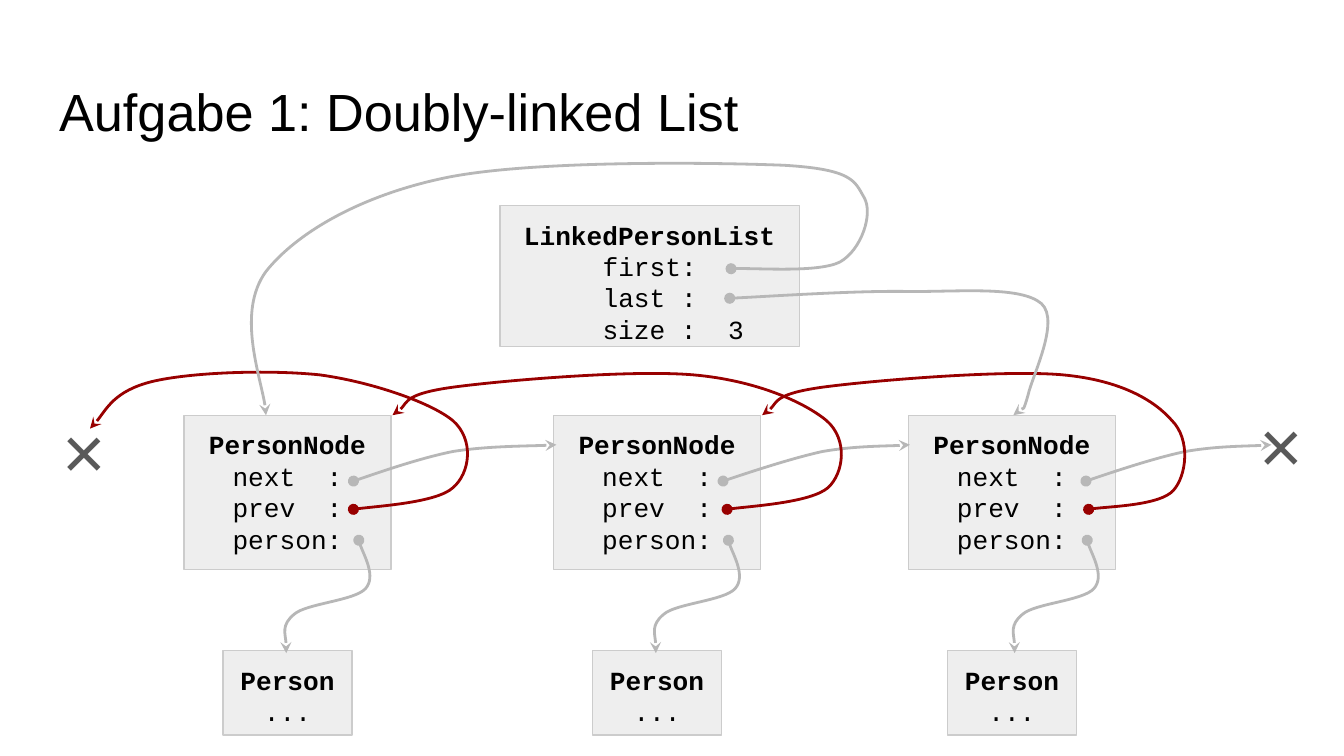
from lxml import etree
from pptx import Presentation, util as u
from pptx.dml.color import RGBColor
from pptx.enum import shapes, text
from pptx.oxml.ns import qn

PX = u.Inches(1) // 100
COLORS = {"fill": "EEEEEE", "border": "CCCCCC", "text": "000000",
          "cross": "595959", "link": "B7B7B7", "prev": "980000"}


def write(box, lines, size, font, color, align):
    frame = box.text_frame
    frame.text = "\n".join(lines)
    frame.word_wrap = True
    frame.auto_size = text.MSO_AUTO_SIZE.NONE
    frame.vertical_anchor = text.MSO_ANCHOR.TOP
    frame.margin_left = frame.margin_right = 10 * PX
    frame.margin_top = frame.margin_bottom = 10 * PX
    for para in frame.paragraphs:
        para.alignment = align
        for span in para.runs:
            span.font.size = u.Pt(size)
            span.font.name = font
            span.font.color.rgb = RGBColor.from_string(COLORS[color])


def add_curved_arrow(page, points, color):
    """Draw cubic curves: a start point, then two controls and an end per curve."""
    builder = page.shapes.build_freeform(*points[0], scale=PX)
    builder.add_line_segments(points[1:], close=False)
    arrow = builder.convert_to_shape()
    arrow.shadow.inherit = False
    arrow.fill.background()
    arrow.line.color.rgb = RGBColor.from_string(COLORS[color])
    arrow.line.width = u.Pt(1.5)

    path = arrow.element.find(".//" + qn("a:path"))
    segments = path.findall(qn("a:lnTo"))
    for first in range(0, len(segments), 3):
        curve = etree.SubElement(path, qn("a:cubicBezTo"))
        for segment in segments[first:first + 3]:
            curve.append(segment[0])
            path.remove(segment)
    outline = arrow.element.spPr.find(qn("a:ln"))
    etree.SubElement(outline, qn("a:headEnd"), type="oval")
    etree.SubElement(outline, qn("a:tailEnd"), type="stealth")


deck = Presentation()
deck.slide_width = u.Inches(10)
deck.slide_height = deck.slide_width * 9 // 16
page = deck.slides.add_slide(deck.slide_layouts[5])

title = page.shapes.title
title.left, title.top, title.width, title.height = 34 * PX, 49 * PX, 932 * PX, 63 * PX
write(title, ["Aufgabe 1: Doubly-linked List"], 28, "Arial", "text", text.PP_ALIGN.LEFT)

# List, nodes and persons
node_lefts = [137, 412, 676]
records = [(372, 153, 223, 105, ["LinkedPersonList", "first:", "last :", "size :  3"])]
for left in node_lefts:
    records.append((left, 309, 154, 115, ["PersonNode", "next  :", "prev  :", "person:"]))
    records.append((left + 29, 484, 96, 63, ["Person", "..."]))

for left, top, width, height, lines in records:
    box = page.shapes.add_shape(shapes.MSO_SHAPE.RECTANGLE,
                                left * PX, top * PX, width * PX, height * PX)
    box.shadow.inherit = False
    box.fill.solid()
    box.fill.fore_color.rgb = RGBColor.from_string(COLORS["fill"])
    box.line.color.rgb = RGBColor.from_string(COLORS["border"])
    box.line.width = u.Pt(0.75)
    write(box, lines, 14, "Courier New", "text", text.PP_ALIGN.CENTER)
    box.text_frame.paragraphs[0].runs[0].font.bold = True
    for para in box.text_frame.paragraphs:
        if para.text.startswith("size"):
            # Three characters of indent line this field up with the others
            para._p.get_or_add_pPr().set("marL", str(35 * PX))

# Null references at both ends
for left, top in [(37, 291), (927, 287)]:
    cross = page.shapes.add_textbox(left * PX, top * PX, 47 * PX, 53 * PX)
    write(cross, ["×"], 40, "Arial", "cross", text.PP_ALIGN.LEFT)

# Each node's person
person_curve = [(0, 402), (1, 408), (13, 429), (5, 438), (-3, 447), (-39, 449),
                (-48, 457), (-58, 465), (-53, 481), (-54, 486)]
for start in [267, 542, 809]:
    add_curved_arrow(page, [(start + x, y) for x, y in person_curve], "link")

# Each node's next
next_heights = [358, 354, 341, 336, 332, 332, 331]
for xs in [(263, 275, 312, 337, 362, 401, 414),
           (538, 550, 589, 612, 635, 666, 677),
           (808, 820, 858, 882, 905, 936, 946)]:
    add_curved_arrow(page, list(zip(xs, next_heights)), "link")

# Each node's prev
prev_curves = [
    [(541, 379), (553, 377), (603, 374), (616, 363), (628, 352), (631, 327), (615, 313),
     (598, 299), (562, 283), (516, 279), (470, 275), (376, 283), (338, 288),
     (301, 293), (300, 306), (292, 309)],
    [(810, 379), (820, 377), (863, 376), (873, 365), (883, 354), (886, 327), (872, 313),
     (859, 298), (834, 283), (791, 279), (748, 275), (651, 283), (613, 288),
     (576, 293), (575, 306), (567, 309)],
    [(263, 379), (275, 377), (325, 374), (337, 363), (350, 352), (353, 327), (337, 313),
     (320, 299), (275, 284), (238, 279), (200, 275), (142, 277), (113, 284),
     (85, 291), (74, 313), (67, 319)],
]
for points in prev_curves:
    add_curved_arrow(page, points, "prev")

# The list's first and last
first_curve = [(544, 200), (558, 199), (609, 203), (625, 195), (641, 186), (650, 159),
               (643, 147), (636, 135), (635, 126), (583, 123), (532, 121), (398, 119),
               (333, 132), (269, 145), (221, 173), (198, 202), (176, 232), (198, 292),
               (198, 309)]
last_curve = [(543, 222), (566, 221), (640, 216), (678, 217), (717, 217), (760, 213),
              (775, 226), (789, 239), (768, 280), (765, 294), (761, 308), (756, 307),
              (754, 309)]
for points in [first_curve, last_curve]:
    add_curved_arrow(page, points, "link")

deck.save("out.pptx")
